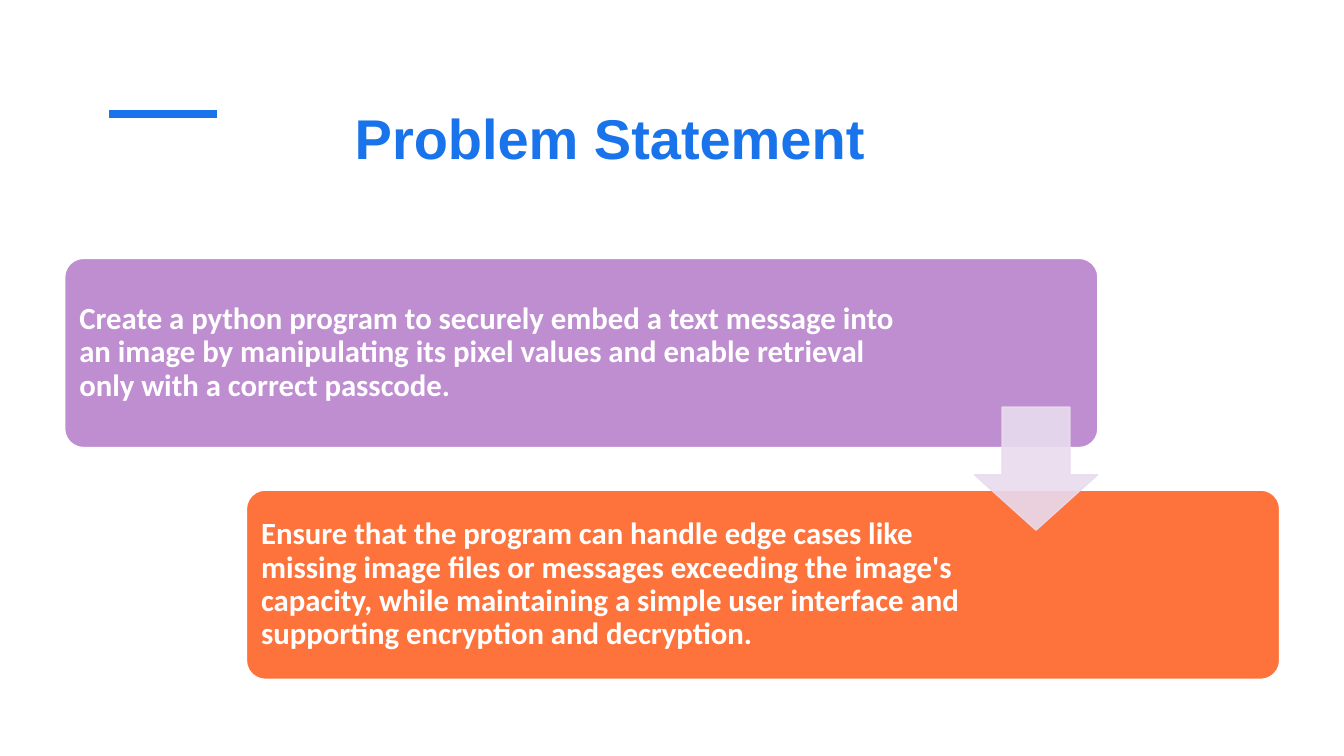
import pptx
import pptx.dml.color
import pptx.enum.shapes
import pptx.enum.text
import pptx.oxml
import pptx.oxml.ns
import pptx.util
import lxml.etree

Cm = pptx.util.Cm
Pt = pptx.util.Pt
RGBColor = pptx.dml.color.RGBColor
SHAPES = pptx.enum.shapes.MSO_SHAPE
ANCHOR = pptx.enum.text.MSO_ANCHOR
qn = pptx.oxml.ns.qn

BLUE = RGBColor(0x19, 0x73, 0xEB)
PURPLE = RGBColor(0xBF, 0x8E, 0xD1)
ORANGE = RGBColor(0xFE, 0x73, 0x3C)
LILAC = RGBColor(0xE8, 0xDB, 0xEE)
WHITE = RGBColor(0xFF, 0xFF, 0xFF)


def write_text(frame, text, frame_format, font_format, color):
    for name, value in frame_format.items():
        setattr(frame, name, value)
    para = frame.paragraphs[0]
    para.alignment = pptx.enum.text.PP_ALIGN.LEFT
    para.line_spacing = 0.9 if frame.vertical_anchor == ANCHOR.MIDDLE else 1.0
    span = para.add_run()
    span.text = text
    for name, value in font_format.items():
        setattr(span.font, name, value)
    span.font.color.rgb = color


def add_filled_shape(kind, place, adjustments, fill, line):
    shape = slide.shapes.add_shape(kind, *place)
    shape.shadow.inherit = False
    for index, value in enumerate(adjustments):
        shape.adjustments[index] = value
    shape.fill.solid()
    shape.fill.fore_color.rgb = fill
    shape.line.color.rgb = line
    shape.line.width = Pt(1)
    return shape


deck = pptx.Presentation()
deck.slide_width, deck.slide_height = Cm(33.87), Cm(19.05)
slide = deck.slides.add_slide(deck.slide_layouts[5])

# Accent line
accent = slide.shapes.add_connector(
    pptx.enum.shapes.MSO_CONNECTOR.STRAIGHT, Cm(2.75), Cm(2.87), Cm(5.47), Cm(2.87))
accent.line.color.rgb = BLUE
accent.line.width = Pt(6)
lxml.etree.SubElement(accent.element.spPr, qn("a:effectLst"))

# Title
title = slide.shapes.title
title_place = {"left": Cm(8.79), "top": Cm(2.26), "width": Cm(30.63), "height": Cm(3.3)}
for name, value in title_place.items():
    setattr(title, name, value)
write_text(
    title.text_frame, "Problem Statement",
    {"word_wrap": True, "auto_size": pptx.enum.text.MSO_AUTO_SIZE.NONE,
     "vertical_anchor": ANCHOR.TOP, "margin_left": Cm(0.15), "margin_top": Cm(0.35)},
    {"name": "Arial", "size": Pt(40), "bold": True}, BLUE)

# Two staggered statements
STATEMENTS = [
    (PURPLE, Cm(21.11),
     "Create a python program to securely embed a text message into an image by "
     "manipulating its pixel values and enable retrieval only with a correct passcode."),
    (ORANGE, Cm(18.06),
     "Ensure that the program can handle edge cases like missing image files or messages "
     "exceeding the image's capacity, while maintaining a simple user interface and "
     "supporting encryption and decryption."),
]
PADDING = Cm(0.14)
CARD_WIDTH, CARD_HEIGHT = Cm(26.04), Cm(4.77)
body_frame = {"word_wrap": True, "vertical_anchor": ANCHOR.MIDDLE}
for side in ("left", "top", "right", "bottom"):
    body_frame["margin_" + side] = Cm(0.23)

for index, (fill, text_width, text) in enumerate(STATEMENTS):
    left = Cm(1.63) + index * Cm(4.58)
    top = Cm(6.51) + index * Cm(5.84)
    add_filled_shape(SHAPES.ROUNDED_RECTANGLE, (left, top, CARD_WIDTH, CARD_HEIGHT),
                     [0.1], fill, WHITE)
    box = slide.shapes.add_textbox(
        left + PADDING, top + PADDING, text_width, CARD_HEIGHT - 2 * PADDING)
    write_text(box.text_frame, text, body_frame,
               {"name": "Calibri", "size": Pt(22), "bold": True}, WHITE)

# Translucent arrow from the first statement to the second
arrow = add_filled_shape(SHAPES.DOWN_ARROW, (Cm(24.56), Cm(10.26), Cm(3.1), Cm(3.1)),
                         [0.55, 0.45], LILAC, LILAC)
for color in arrow.element.spPr.iter(qn("a:srgbClr")):
    lxml.etree.SubElement(color, qn("a:alpha")).set("val", "90000")

deck.save("out.pptx")
